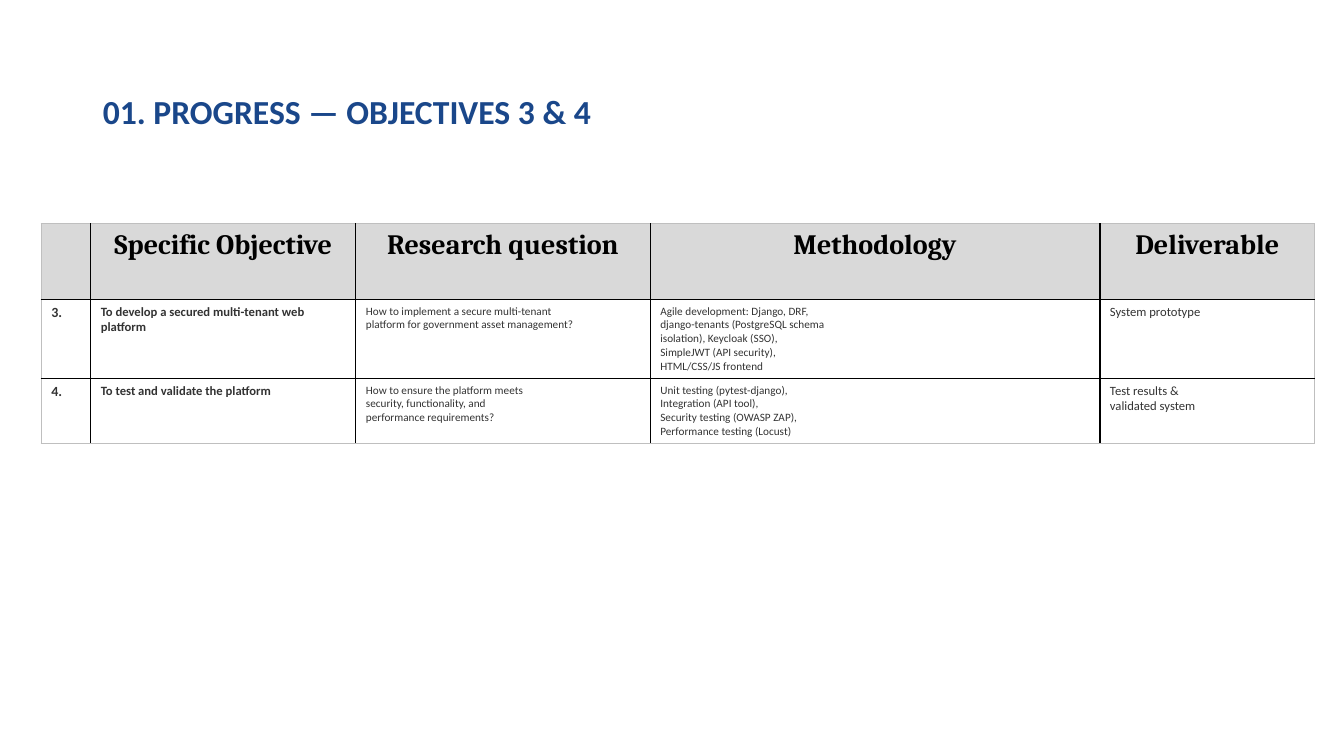
import copy
from dataclasses import dataclass

import pptx
import pptx.dml.color
import pptx.enum.text
import pptx.oxml
import pptx.oxml.ns
import pptx.table
import pptx.text.text
import pptx.util

PX = 9144  # EMU per px, 100 px to the inch
COLORS = {
    "title": "1A478A",
    "header fill": "D9D9D9",
    "header text": "000000",
    "body text": "333333",
    "grid": "000000",
    "frame": "BFBFBF",
}
ALIGN = pptx.enum.text.PP_ALIGN


@dataclass(frozen=True)
class Column:
    heading: str
    width: int
    size: int
    bold: bool


@dataclass(frozen=True)
class Row:
    height: int
    texts: tuple[str, ...]


COLUMNS = [
    Column("", 49, 10, True),
    Column("Specific Objective", 263, 9, True),
    Column("Research question", 292, 8, False),
    Column("Methodology", 446, 8, False),
    Column("Deliverable", 213, 9, False),
]
HEADER = Row(75, tuple(column.heading for column in COLUMNS))
OBJECTIVES = [
    Row(78, (
        "3.",
        "To develop a secured multi-tenant web platform",
        "How to implement a secure multi-tenant\n"
        "platform for government asset management?",
        "Agile development: Django, DRF,\n"
        "django-tenants (PostgreSQL schema\n"
        "isolation), Keycloak (SSO),\n"
        "SimpleJWT (API security),\n"
        "HTML/CSS/JS frontend",
        "System prototype",
    )),
    Row(64, (
        "4.",
        "To test and validate the platform",
        "How to ensure the platform meets\n"
        "security, functionality, and\n"
        "performance requirements?",
        "Unit testing (pytest-django),\n"
        "Integration (API tool),\n"
        "Security testing (OWASP ZAP),\n"
        "Performance testing (Locust)",
        "Test results &\nvalidated system",
    )),
]


def px(length: int) -> pptx.util.Emu:
    return pptx.util.Emu(length * PX)


def write(frame: pptx.text.text.TextFrame, text: str, *, size: int, color: str,
          font: str = "Calibri", bold: bool = False,
          align: ALIGN = ALIGN.LEFT, spacing: float = 1.0) -> None:
    """Fill a text frame with one paragraph; newlines become line breaks."""
    paragraph = frame.paragraphs[0]
    paragraph.text = text
    paragraph.alignment = align
    paragraph.line_spacing = spacing
    for run in paragraph.runs:
        run.font.name = font
        run.font.size = pptx.util.Pt(size)
        run.font.bold = bold
        run.font.color.rgb = pptx.dml.color.RGBColor.from_string(COLORS[color])
    # Line breaks take the run format so that they do not stretch the lines
    for line_break in paragraph._p.findall(pptx.oxml.ns.qn("a:br")):
        line_break.append(copy.deepcopy(paragraph.runs[0]._r.rPr))


def set_borders(cell: pptx.table._Cell, edges: dict[str, bool]) -> None:
    """Draw the four borders; True marks an edge on the outer frame."""
    properties = cell._tc.get_or_add_tcPr()
    for index, (edge, outer) in enumerate(edges.items()):
        color = COLORS["frame" if outer else "grid"]
        properties.insert(index, pptx.oxml.parse_xml(
            f'<a:ln{edge} {pptx.oxml.ns.nsdecls("a")} w="12700">'
            f'<a:solidFill><a:srgbClr val="{color}"/></a:solidFill></a:ln{edge}>'))


def add_objectives_table(slide: pptx.slide.Slide, left: int, top: int) -> None:
    rows = [HEADER, *OBJECTIVES]
    table = slide.shapes.add_table(
        len(rows), len(COLUMNS), px(left), px(top),
        px(sum(column.width for column in COLUMNS)),
        px(sum(row.height for row in rows))).table
    table.first_row = table.horz_banding = False
    for c, column in enumerate(COLUMNS):
        table.columns[c].width = px(column.width)
    for r, row in enumerate(rows):
        table.rows[r].height = px(row.height)
        for c, (column, text) in enumerate(zip(COLUMNS, row.texts)):
            cell = table.cell(r, c)
            if row is HEADER:
                cell.fill.solid()
                cell.fill.fore_color.rgb = pptx.dml.color.RGBColor.from_string(
                    COLORS["header fill"])
                write(cell.text_frame, text, size=20, color="header text",
                      font="Cambria", bold=True, align=ALIGN.CENTER)
            else:
                cell.fill.background()
                write(cell.text_frame, text, size=column.size,
                      color="body text", bold=column.bold)
            set_borders(cell, {"L": c == 0, "R": c == len(COLUMNS) - 1,
                               "T": r == 0, "B": r == len(rows) - 1})


def main() -> None:
    deck = pptx.Presentation()
    deck.slide_width, deck.slide_height = px(1333), px(750)
    slide = deck.slides.add_slide(deck.slide_layouts[5])

    # Title
    heading = slide.shapes.title
    heading.left, heading.top = px(92), px(40)
    heading.width, heading.height = px(1150), px(145)
    heading.text_frame.vertical_anchor = pptx.enum.text.MSO_ANCHOR.MIDDLE
    heading.text_frame.auto_size = pptx.enum.text.MSO_AUTO_SIZE.NONE
    write(heading.text_frame, "01. PROGRESS — OBJECTIVES 3 & 4",
          size=24, color="title", bold=True, spacing=0.9)

    # Objectives and their progress
    add_objectives_table(slide, 41, 222)

    deck.save("out.pptx")


if __name__ == "__main__":
    main()
